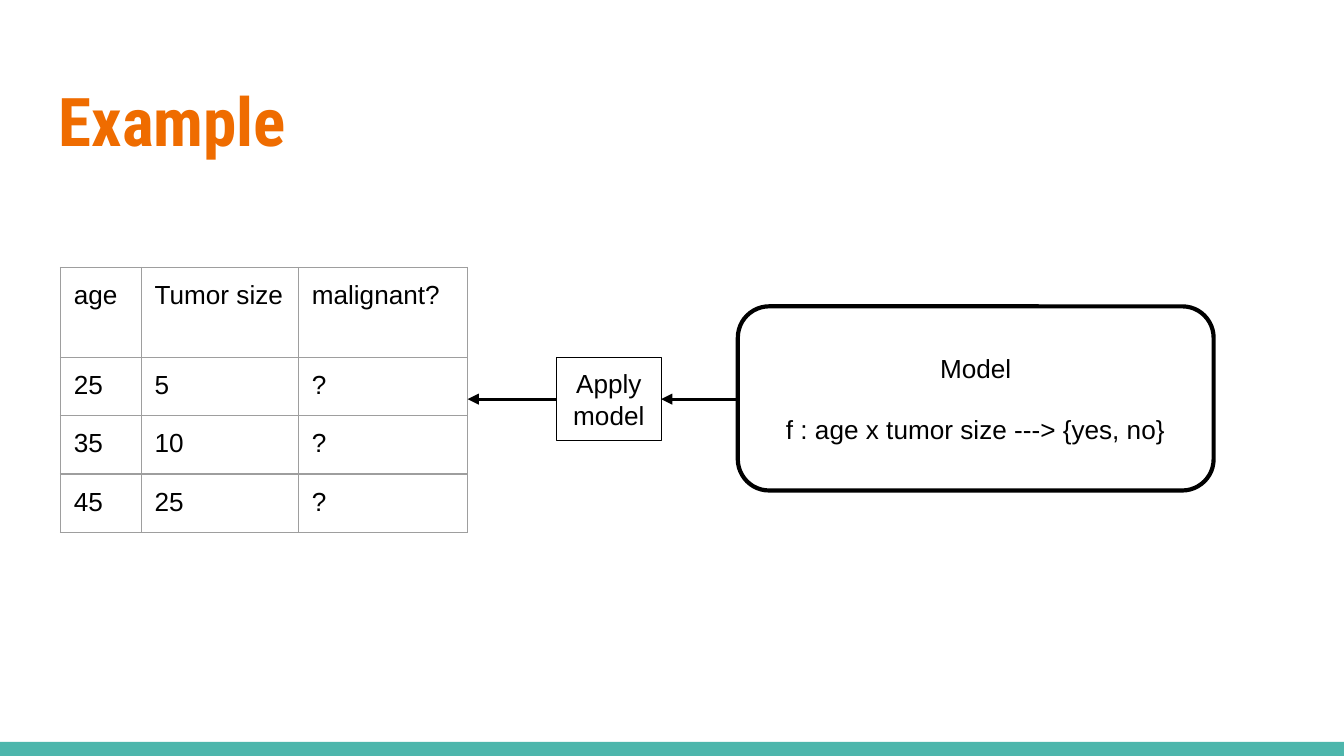
"""Build a slide that applies a tumor model to a table of unlabelled cases."""
from dataclasses import dataclass

from lxml import etree
from pptx import Presentation, util as u
from pptx.dml.color import RGBColor
from pptx.enum import shapes, text
from pptx.oxml import ns


@dataclass(frozen=True)
class Theme:
    teal: RGBColor = RGBColor.from_string("4DB6AC")
    orange: RGBColor = RGBColor.from_string("EF6C00")
    black: RGBColor = RGBColor.from_string("000000")
    grid: str = "9E9E9E"
    heading_font: str = "Roboto Condensed"
    body_font: str = "Arial"
    heading: u.Pt = u.Pt(36)
    body: u.Pt = u.Pt(14)
    inset: u.Inches = u.Inches(0.1)


theme = Theme()


def write(frame, margin_owner, lines, align=text.PP_ALIGN.LEFT, font=theme.body_font,
          size=theme.body, color=theme.black, bold=False):
    margin_owner.margin_left = margin_owner.margin_right = theme.inset
    margin_owner.margin_top = margin_owner.margin_bottom = theme.inset
    frame.word_wrap = True
    frame.text = "\n".join(lines)
    for paragraph in frame.paragraphs:
        paragraph.alignment = align
        paragraph.font.name = font
        paragraph.font.size = size
        paragraph.font.bold = bold
        paragraph.font.color.rgb = color


def add_box(kind, left, top, width, height, line_width, lines):
    box = slide.shapes.add_shape(
        kind, u.Inches(left), u.Inches(top), u.Inches(width), u.Inches(height))
    box.shadow.inherit = False
    box.fill.background()
    box.line.color.rgb = theme.black
    box.line.width = u.Pt(line_width)
    write(box.text_frame, box.text_frame, lines, text.PP_ALIGN.CENTER)
    box.text_frame.vertical_anchor = text.MSO_ANCHOR.MIDDLE
    return box


prs = Presentation()
prs.slide_width = u.Inches(10)
prs.slide_height = prs.slide_width * 9 // 16
slide = prs.slides.add_slide(prs.slide_layouts[6])

footer = slide.shapes.add_shape(
    shapes.MSO_SHAPE.RECTANGLE, 0, u.Inches(5.52), prs.slide_width, u.Inches(0.11))
footer.shadow.inherit = False
footer.fill.solid()
footer.fill.fore_color.rgb = theme.teal
footer.line.fill.background()

title = slide.shapes.add_textbox(
    u.Inches(0.34), u.Inches(0.49), u.Inches(9.32), u.Inches(0.77))
write(title.text_frame, title.text_frame, ["Example"], font=theme.heading_font,
      size=theme.heading, color=theme.orange, bold=True)

cases = [
    ("age", "Tumor size", "malignant?"),
    ("25", "5", "?"),
    ("35", "10", "?"),
    ("45", "25", "?"),
]
column_widths = (0.6, 1.17, 1.26)
row_heights = (0.67, 0.43, 0.43, 0.43)
case_table = slide.shapes.add_table(
    len(cases), len(column_widths), u.Inches(0.45), u.Inches(1.99),
    u.Inches(sum(column_widths)), u.Inches(sum(row_heights))).table
case_table.first_row = case_table.horz_banding = False
for column, width in zip(case_table.columns, column_widths):
    column.width = u.Inches(width)
for row, height, case in zip(case_table.rows, row_heights, cases):
    row.height = u.Inches(height)
    for cell, value in zip(row.cells, case):
        write(cell.text_frame, cell, [value])
        cell.fill.background()
        properties = cell._tc.get_or_add_tcPr()
        for position, side in enumerate(("lnL", "lnR", "lnT", "lnB")):
            border = etree.Element(ns.qn(f"a:{side}"), w=str(u.Pt(0.75)))
            solid = etree.SubElement(border, ns.qn("a:solidFill"))
            etree.SubElement(solid, ns.qn("a:srgbClr"), val=theme.grid)
            properties.insert(position, border)

add_box(shapes.MSO_SHAPE.RECTANGLE, 4.14, 2.66, 0.78, 0.62, 0.75, ["Apply model"])

for start, end in ((4.14, 3.48), (5.49, 4.92)):
    arrow = slide.shapes.add_connector(
        shapes.MSO_CONNECTOR.STRAIGHT,
        u.Inches(start), u.Inches(2.97), u.Inches(end), u.Inches(2.97))
    arrow.line.color.rgb = theme.black
    arrow.line.width = u.Pt(1.5)
    etree.SubElement(arrow.line._get_or_add_ln(), ns.qn("a:tailEnd"), type="triangle")
    etree.SubElement(arrow._element.spPr, ns.qn("a:effectLst"))

model = add_box(shapes.MSO_SHAPE.ROUNDED_RECTANGLE, 5.49, 2.28, 3.54, 1.37, 2.25,
                ["Model", "f : age x tumor size ---> {yes, no}"])
model.adjustments[0] = 0.17
model.text_frame.paragraphs[1].space_before = u.Pt(16)

prs.save("out.pptx")
